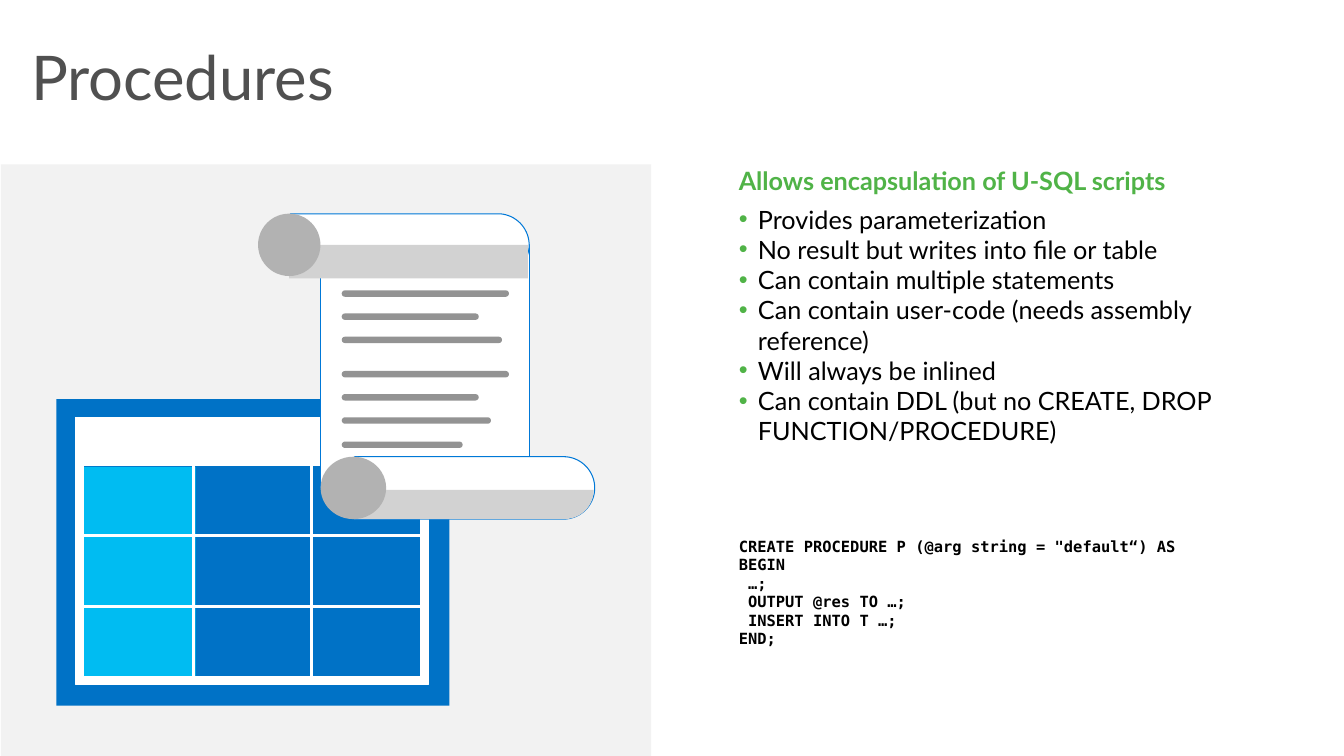
from math import cos, radians, sin

from lxml.etree import SubElement
from pptx import Presentation
from pptx.dml.color import RGBColor
from pptx.enum.shapes import MSO_CONNECTOR, MSO_SHAPE
from pptx.enum.text import MSO_ANCHOR, PP_ALIGN
from pptx.oxml.ns import qn
from pptx.util import Pt

TITLE = "Procedures"
HEADING = "Allows encapsulation of U-SQL scripts"
BULLETS = [
    "Provides parameterization",
    "No result but writes into file or table",
    "Can contain multiple statements",
    "Can contain user-code (needs assembly reference)",
    "Will always be inlined",
    "Can contain DDL (but no CREATE, DROP FUNCTION/PROCEDURE)",
]
CODE = [
    'CREATE PROCEDURE P (@arg string = "default“) AS',
    "BEGIN",
    " …;",
    " OUTPUT @res TO …;",
    " INSERT INTO T …;",
    "END;",
]
# Top and width of each line of writing on the scroll
WRITING = [
    (207.4, 119.5), (223.9, 97.9), (240.5, 114.5), (265, 119.5),
    (281.5, 97.9), (298.1, 106.6), (315.4, 86.4),
]
COLORS = {
    "panel": "F2F2F2", "title": "505050", "accent": "50B347", "text": "000000",
    "table": "0072C6", "column": "00BCF2", "paper": "FFFFFF", "edge": "0078D7",
    "shade": "D2D2D2", "writing": "939393", "roll_end": "B2B2B2",
}
FORMATS = {
    "title": {"size": Pt(44), "name": "Lato", "bold": False},
    "heading": {"size": Pt(18), "name": "Lato", "bold": True},
    "bullet": {"size": Pt(18), "name": "Lato", "bold": False},
    "code": {"size": Pt(11), "name": "DejaVu Sans Mono", "bold": True},
}

presentation = Presentation()
presentation.slide_width, presentation.slide_height = Pt(960), Pt(540)
slide = presentation.slides.add_slide(presentation.slide_layouts[6])
shapes = slide.shapes


def rgb(color):
    return RGBColor.from_string(COLORS[color])


def paint(shape, fill, line=None):
    shape.shadow.inherit = False
    shape.fill.solid()
    shape.fill.fore_color.rgb = rgb(fill)
    if line:
        shape.line.color.rgb = rgb(line)
        shape.line.width = Pt(0.75)
    else:
        shape.line.fill.background()
    return shape


def add_block(box, fill, line=None, kind=MSO_SHAPE.RECTANGLE):
    return paint(shapes.add_shape(kind, *map(Pt, box)), fill, line)


def add_outline(contours, fill, line=None):
    """Draw one filled shape from closed lists of points."""
    contours = [[(Pt(x), Pt(y)) for x, y in contour] for contour in contours]
    builder = shapes.build_freeform(*contours[0][0])
    for index, contour in enumerate(contours):
        if index:
            builder.move_to(*contour[0])
        builder.add_line_segments(contour[1:], close=True)
    return paint(builder.convert_to_shape(), fill, line)


def add_roll(left, right, center, radius, start, fill, line=None):
    """Draw a bar whose right end is an arc from start to 90 degrees."""
    arc = [
        (right - radius + radius * cos(radians(angle)), center + radius * sin(radians(angle)))
        for angle in range(start, 91, 5)
    ]
    add_outline([[(left, arc[0][1]), *arc, (left, arc[-1][1])]], fill, line)


def add_rule(x1, y1, x2, y2):
    rule = shapes.add_connector(MSO_CONNECTOR.STRAIGHT, *map(Pt, (x1, y1, x2, y2)))
    rule.line.color.rgb = rgb("paper")
    rule.line.width = Pt(2.13)
    SubElement(rule._element.spPr, qn("a:effectLst"))


def add_text_frame(box, anchor, inset):
    frame = shapes.add_textbox(*map(Pt, box)).text_frame
    frame.word_wrap = True
    frame.vertical_anchor = anchor
    frame.margin_left = frame.margin_right = Pt(7.2)
    frame.margin_top = frame.margin_bottom = Pt(inset)
    return frame


def write(paragraph, text, style, color):
    paragraph.alignment = PP_ALIGN.LEFT
    run = paragraph.add_run()
    run.text = text
    for name, value in FORMATS[style].items():
        setattr(run.font, name, value)
    run.font.color.rgb = rgb(color)


def add_bullet(paragraph):
    properties = paragraph._p.get_or_add_pPr()
    properties.set("marL", str(Pt(13.7)))
    properties.set("indent", str(-Pt(13.7)))
    color = SubElement(properties, qn("a:buClr"))
    SubElement(color, qn("a:srgbClr"), val=COLORS["accent"])
    SubElement(properties, qn("a:buFont"), typeface="Arial")
    SubElement(properties, qn("a:buChar"), char="•")


def draw_table():
    left, right, top, bottom = 54, 306, 327.6, 488.9
    add_block((40.3, 285.1, 280.8, 218.9), "table")
    add_block((58.3, 333.4, 81.4, 152.6), "column")
    outer = [(left, top), (right, top), (right, bottom), (left, bottom)]
    inner = [(59.8, 332.6), (59.8, 483.1), (300.2, 483.1), (300.2, 332.6)]
    add_outline([outer, inner], "paper", "paper")
    for y in (382.3, 433.4):
        add_rule(left, y, right, y)
    for x in (138.2, 222.5):
        add_rule(x, top, x, bottom)
    add_block((left, 298.1, right - left, 32.4), "paper", "paper")


def draw_scroll():
    add_block((229, 175, 149, 173.5), "paper", "edge")
    add_roll(207.4, 378, 175, 22.3, -90, "paper", "edge")
    add_roll(253.4, 424.8, 348.5, 22.3, -90, "paper", "edge")
    add_block((206.6, 175, 170.6, 23.8), "shade")
    add_roll(252.7, 424.1, 349.9, 20.9, 0, "shade")
    for top, width in WRITING:
        bar = add_block((244.1, top, width, 4.6), "writing", kind=MSO_SHAPE.ROUNDED_RECTANGLE)
        bar.adjustments[0] = 0.5
    for box in ((184.3, 152.6, 44.6, 44.6), (229, 326.2, 46.8, 44.6)):
        add_block(box, "roll_end", kind=MSO_SHAPE.OVAL)


def write_texts():
    title = add_text_frame((15.1, 23.8, 930.2, 67.7), MSO_ANCHOR.MIDDLE, 3.6).paragraphs[0]
    title.line_spacing = 0.9
    write(title, TITLE, "title", "title")

    body = add_text_frame((520.6, 120.2, 356.4, 345.6), MSO_ANCHOR.TOP, 0)
    heading = body.paragraphs[0]
    heading.line_spacing = 0.9
    heading.space_after = Pt(6)
    write(heading, HEADING, "heading", "accent")
    for text in BULLETS:
        paragraph = body.add_paragraph()
        add_bullet(paragraph)
        write(paragraph, text, "bullet", "text")
    for index, text in enumerate(CODE):
        paragraph = body.add_paragraph()
        if index == 0:
            paragraph.space_before = Pt(65)
        write(paragraph, text, "code", "text")


add_block((0.7, 117.4, 464.4, 422.6), "panel")
write_texts()
draw_table()
draw_scroll()
presentation.save("out.pptx")
